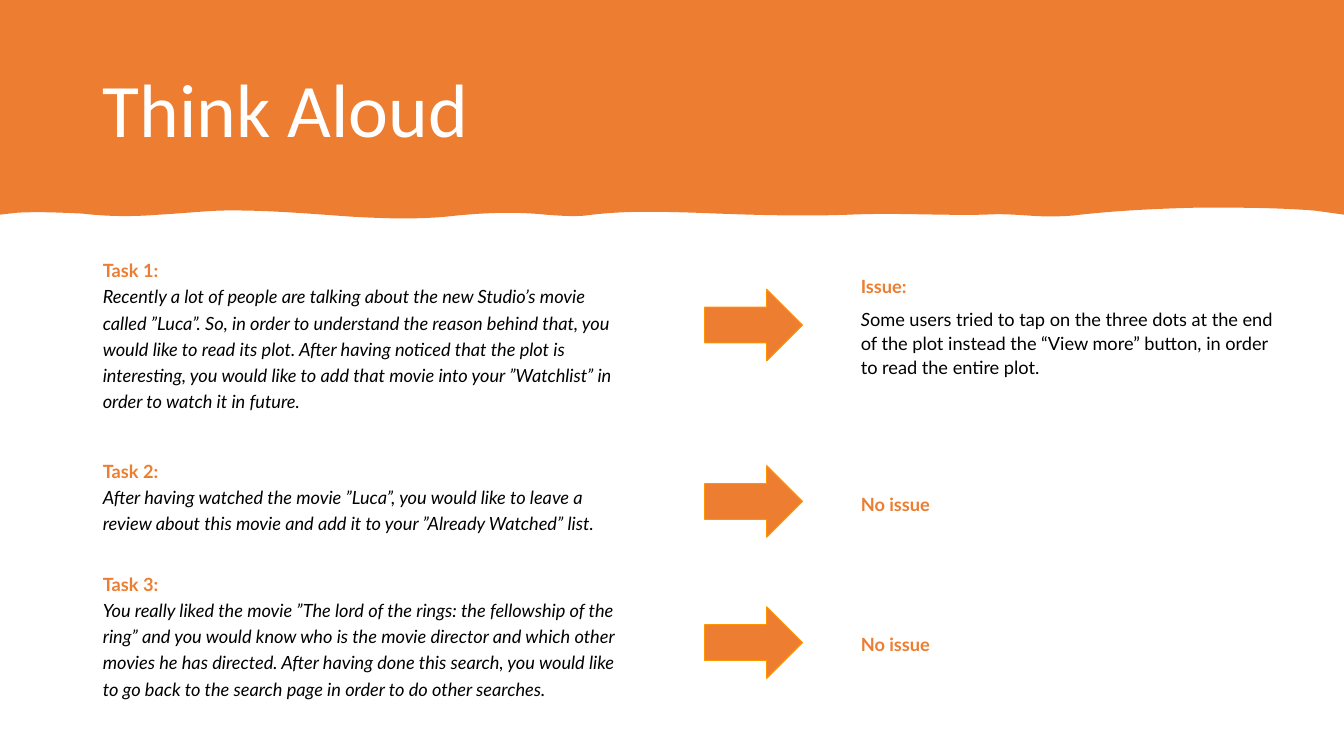
from pptx import Presentation
from pptx.dml.color import RGBColor
from pptx.enum.shapes import MSO_SHAPE
from pptx.enum.text import MSO_ANCHOR, MSO_AUTO_SIZE, PP_ALIGN
from pptx.oxml.ns import qn
from pptx.util import Pt
from lxml.etree import SubElement

WIDTH, HEIGHT = 1333, 750
SCALE = 12192000 / WIDTH
COLORS = {"orange": "ED7D31", "edge": "FF9300", "white": "FFFFFF", "black": "000000"}

WAVE_START = (1304, 209)
WAVE_CURVES = [
    ((1266, 206), (1228, 206), (1190, 206)),
    ((1148, 207), (1105, 209), (1063, 214)),
    ((1049, 215), (1035, 215), (1021, 214)),
    ((1007, 213), (992, 212), (977, 213)),
    ((933, 214), (888, 211), (843, 213)),
    ((791, 215), (739, 213), (687, 211)),
    ((651, 210), (616, 209), (580, 214)),
    ((567, 215), (554, 214), (541, 213)),
    ((512, 210), (482, 211), (452, 214)),
    ((418, 218), (384, 217), (349, 215)),
    ((305, 212), (261, 208), (217, 209)),
    ((197, 210), (177, 212), (158, 213)),
    ((133, 215), (107, 215), (82, 212)),
    ((61, 211), (40, 210), (18, 211)),
]

TASKS = [
    ("Task 1:", "Recently a lot of people are talking about the new Studio’s movie called ”Luca”. "
     "So, in order to understand the reason behind that, you would like to read its plot. "
     "After having noticed that the plot is interesting, you would like to add that movie "
     "into your ”Watchlist” in order to watch it in future.", 31),
    ("Task 2:", "After having watched the movie ”Luca”, you would like to leave a review about "
     "this movie and add it to your ”Already Watched” list.", 24.5),
    ("Task 3:", "You really liked the movie ”The lord of the rings: the fellowship of the ring” "
     "and you would know who is the movie director and which other movies he has directed. "
     "After having done this search, you would like to go back to the search page in order "
     "to do other searches.", 0),
]

ISSUE_DETAIL = ("ome users tried to tap on the three dots at the end of the plot instead the "
                "“View more” button, in order to read the entire plot.")
OUTCOMES = [(264, 287, "Issue:", 1.1), (439, 462, "No issue", 1.2), (578, 602, "No issue", 1.2)]


def px(length):
    return round(length * SCALE)


def color(name):
    return RGBColor.from_string(COLORS[name])


def add_span(para, text, font="Lato", size=13, fill="black", bold=False, italic=False):
    span = para.add_run()
    span.text = text
    span.font.name = font
    span.font.size = Pt(size)
    span.font.color.rgb = color(fill)
    span.font.bold = bold
    span.font.italic = italic


def add_para(frame, first, spacing, after=0):
    para = frame.paragraphs[0] if first else frame.add_paragraph()
    para.alignment = PP_ALIGN.LEFT
    para.line_spacing = spacing
    para.space_before = Pt(0)
    para.space_after = Pt(after)
    return para


def place(box, left, top, width, height, anchor):
    box.left, box.top, box.width, box.height = map(px, (left, top, width, height))
    frame = box.text_frame
    frame.word_wrap = True
    frame.auto_size = MSO_AUTO_SIZE.NONE
    frame.vertical_anchor = anchor
    return frame


def remove_bullet(para):
    properties = para._p.get_or_add_pPr()
    properties.set("marL", "0")
    properties.set("indent", "0")
    SubElement(properties, qn("a:buNone"))


def bend(line, controls):
    line.tag = qn("a:cubicBezTo")
    for index, (x, y) in enumerate(controls):
        point = SubElement(line, qn("a:pt"), x=str(x), y=str(y))
        line.insert(index, point)


def add_wave_band(page):
    ends = [curve[-1] for curve in WAVE_CURVES]
    builder = page.shapes.build_freeform(0, 0, scale=SCALE)
    builder.add_line_segments([(WIDTH, 0), (WIDTH, 213), WAVE_START, *ends, (0, 213)], close=True)
    band = builder.convert_to_shape()
    lines = list(band._element.iter(qn("a:lnTo")))
    for line, curve in zip(lines[3:], WAVE_CURVES):
        curved = line.makeelement(qn("a:cubicBezTo"))
        for x, y in curve:
            SubElement(curved, qn("a:pt"), x=str(x), y=str(y))
        line.getparent().replace(line, curved)
    band.shadow.inherit = False
    band.fill.solid()
    band.fill.fore_color.rgb = color("orange")
    band.line.fill.background()
    page.shapes._spTree.insert(2, band._element)


def add_arrow(page, top):
    arrow = page.shapes.add_shape(MSO_SHAPE.RIGHT_ARROW, px(699), px(top), px(97), px(71))
    arrow.shadow.inherit = False
    arrow.fill.solid()
    arrow.fill.fore_color.rgb = color("orange")
    arrow.line.color.rgb = color("edge")
    arrow.line.width = Pt(0.75)


def add_outcome(page, top, label, spacing):
    box = page.shapes.add_textbox(0, 0, 0, 0)
    frame = place(box, 844, top, 442, 118, MSO_ANCHOR.MIDDLE)
    add_span(add_para(frame, True, spacing, 6), label, fill="orange", bold=True)
    return frame


def fill_tasks(box):
    frame = place(box, 92, 248, 543, 469, MSO_ANCHOR.TOP)
    for index, (label, story, after) in enumerate(TASKS):
        para = add_para(frame, index == 0, 1.2, after)
        remove_bullet(para)
        add_span(para, label, fill="orange", bold=True)
        para.add_line_break()
        add_span(para, story, italic=True)


def main():
    deck = Presentation()
    deck.slide_width, deck.slide_height = px(WIDTH), px(HEIGHT)
    page = deck.slides.add_slide(deck.slide_layouts[1])
    add_wave_band(page)

    title = place(page.shapes.title, 92, 40, 1150, 145, MSO_ANCHOR.MIDDLE)
    add_span(add_para(title, True, 0.9), "Think Aloud", font="Calibri", size=54, fill="white")
    fill_tasks(page.placeholders[1])

    frames = []
    for text_top, arrow_top, label, spacing in OUTCOMES:
        frames.append(add_outcome(page, text_top, label, spacing))
        add_arrow(page, arrow_top)
    detail = add_para(frames[0], False, 1.1, 6)
    add_span(detail, "S", italic=True)
    add_span(detail, ISSUE_DETAIL)

    deck.save("out.pptx")


if __name__ == "__main__":
    main()
